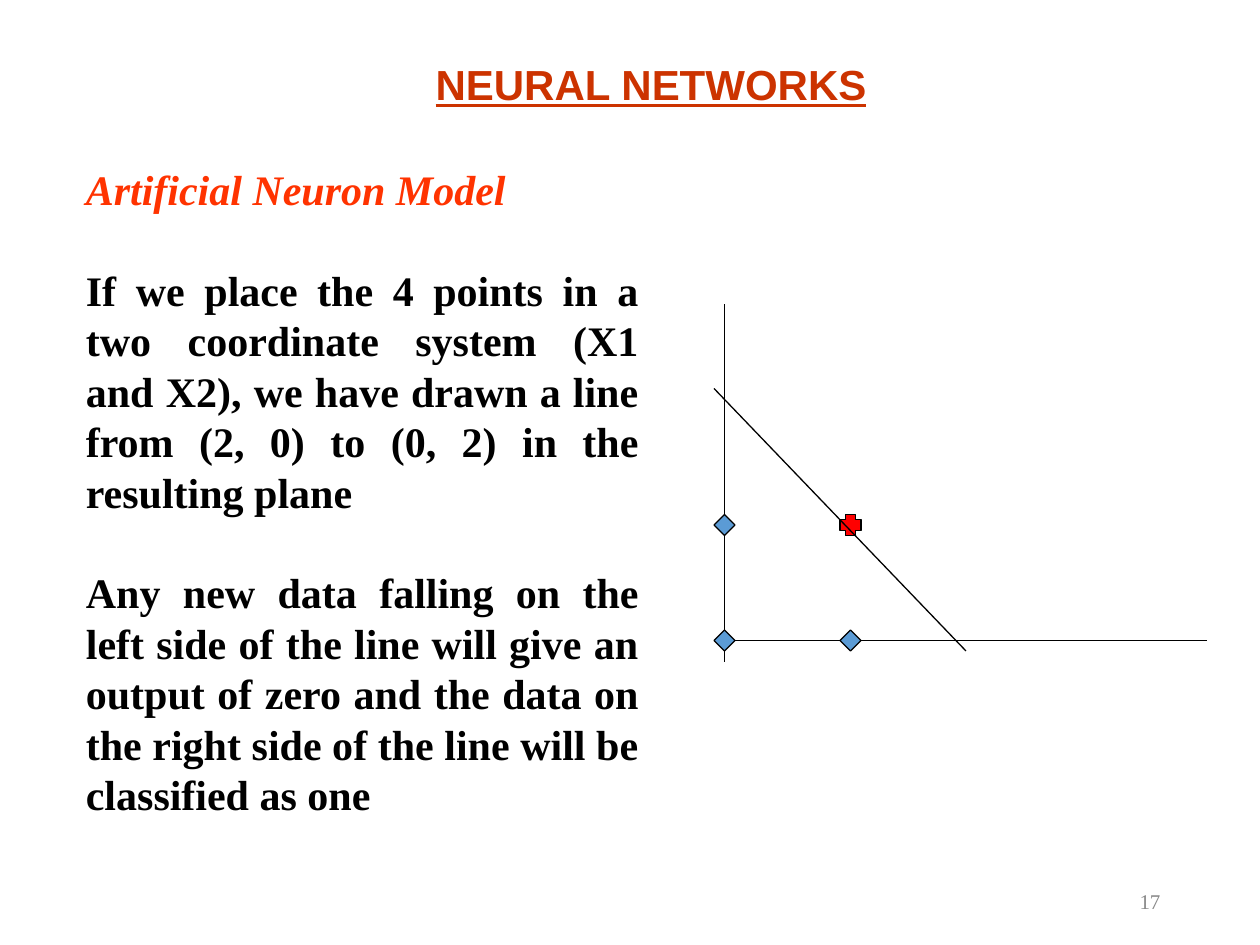
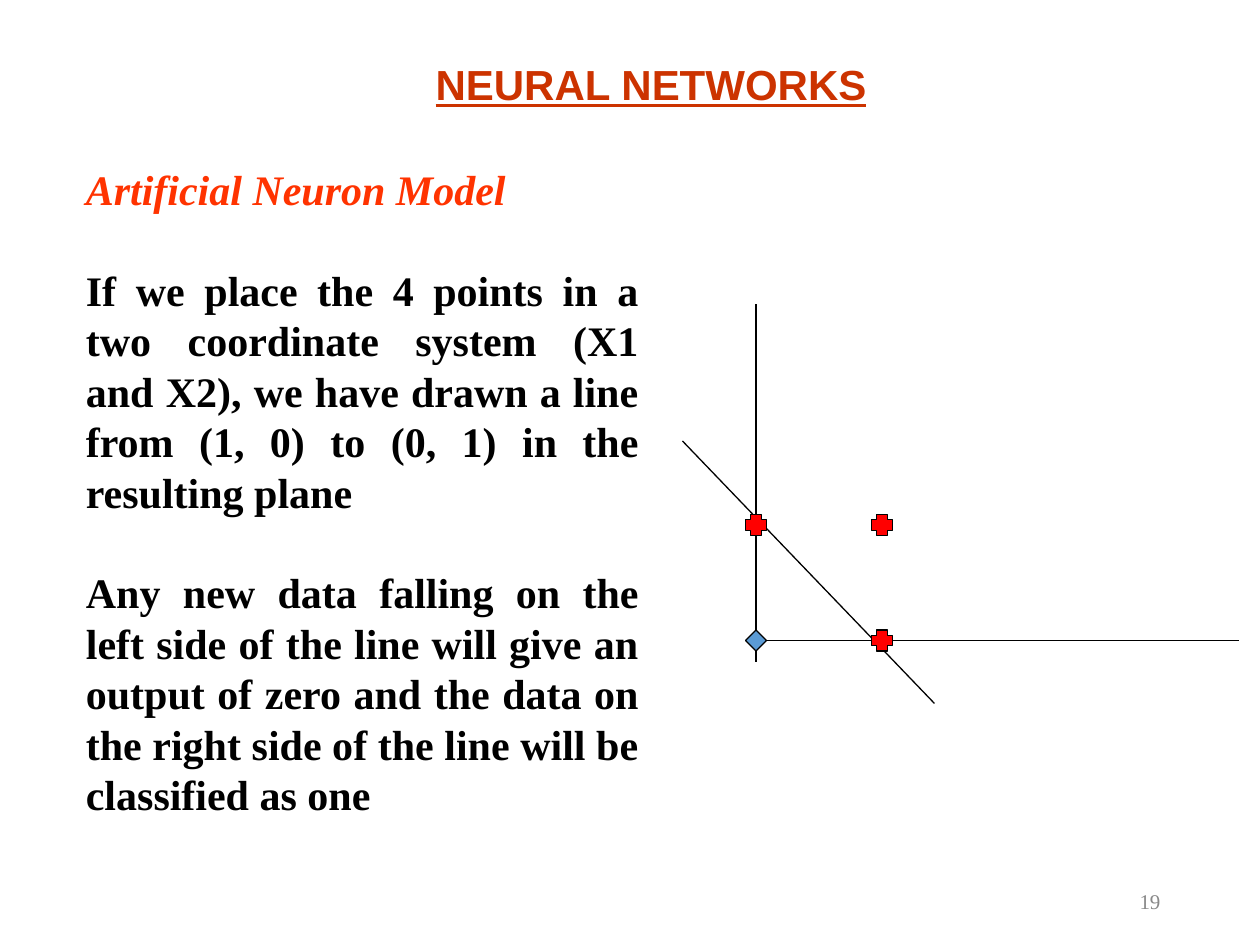
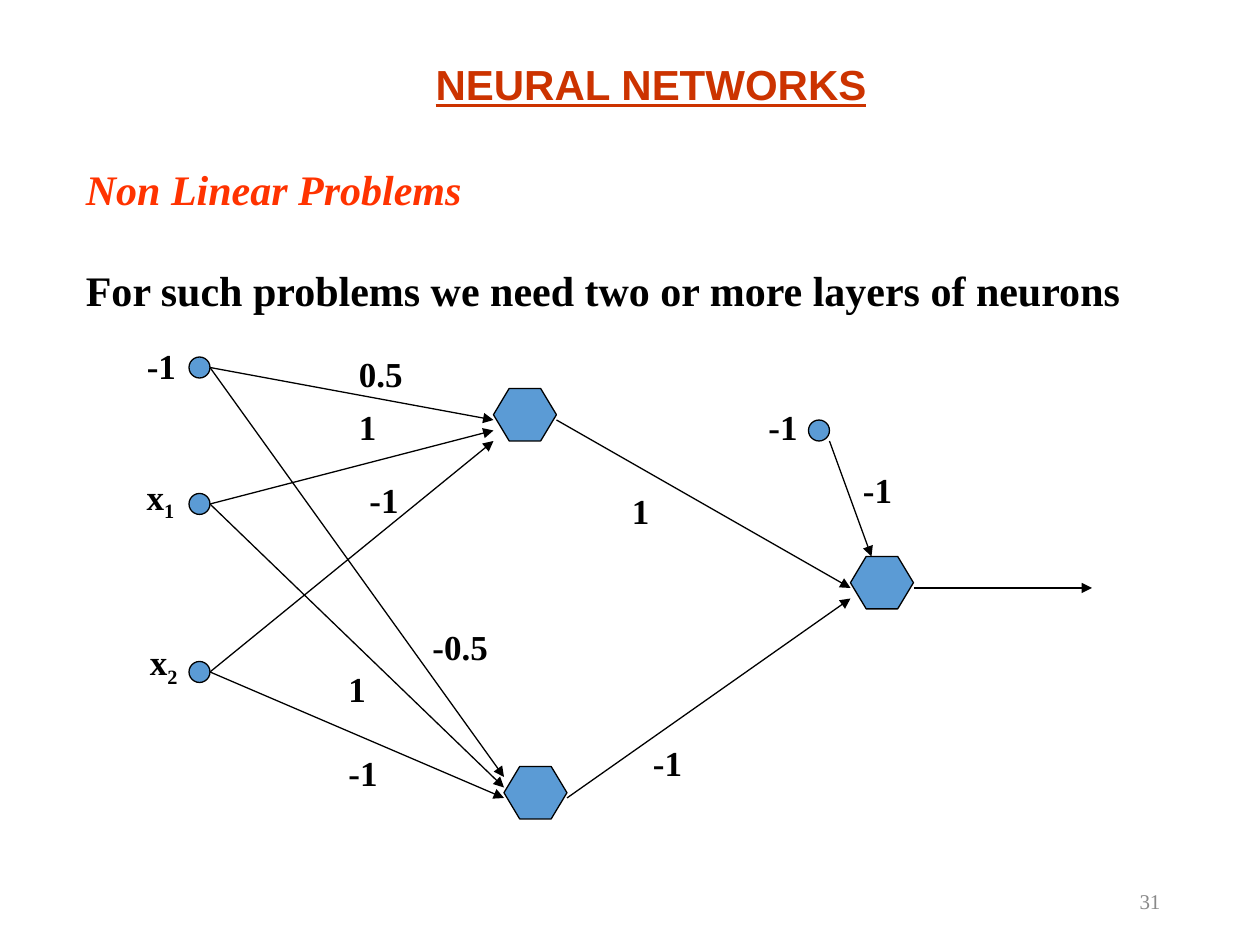
import pptx
import pptx.util
import pptx.dml.color
import pptx.enum.shapes
import pptx.enum.text
import pptx.oxml
import pptx.oxml.ns

PX = 7620
SERIF = "Times New Roman"
RUST = pptx.dml.color.RGBColor(0xCC, 0x33, 0x00)
FLAME = pptx.dml.color.RGBColor(0xFF, 0x33, 0x00)
RED = pptx.dml.color.RGBColor(0xFF, 0x00, 0x00)
BLUE = pptx.dml.color.RGBColor(0x5B, 0x9B, 0xD5)
BLACK = pptx.dml.color.RGBColor(0x00, 0x00, 0x00)
GRAY = pptx.dml.color.RGBColor(0x89, 0x89, 0x89)
SHAPE = pptx.enum.shapes.MSO_SHAPE
ALIGN = pptx.enum.text.PP_ALIGN
ANCHOR = pptx.enum.text.MSO_ANCHOR
TOP = 610
ROW = 500
STEP = 120


def write(para, text, size, color, face=SERIF, bold=True):
    run = para.add_run()
    run.text = text
    run.font.name = face
    run.font.size = pptx.util.Pt(size)
    run.font.bold = bold
    run.font.color.rgb = color
    para.line_spacing = pptx.util.Pt(size * 1.2)
    return run


def draw(slide, part):
    kind, *spots = part
    if kind in ("line", "arrow"):
        item = slide.shapes.add_connector(
            pptx.enum.shapes.MSO_CONNECTOR.STRAIGHT, *[n * PX for n in spots])
        if kind == "arrow":
            edge = item.line._get_or_add_ln()
            tail = pptx.oxml.parse_xml(
                f'<a:tailEnd {pptx.oxml.ns.nsdecls("a")} type="triangle"/>')
            edge.append(tail)
        item._element.spPr.append(pptx.oxml.parse_xml(
            f'<a:effectLst {pptx.oxml.ns.nsdecls("a")}/>'))
    else:
        item = slide.shapes.add_shape(kind, *[n * PX for n in spots])
        item.shadow.inherit = False
        item.fill.solid()
        item.fill.fore_color.rgb = RED if kind == SHAPE.CROSS else BLUE
        if kind == SHAPE.HEXAGON:
            item.adjustments[0] = 0.3
    item.line.color.rgb = BLACK
    item.line.width = pptx.util.Pt(0.75)


RULE = ("Any new data falling on the left side of the line will give an output "
        "of zero and the data on the right side of the line will be classified as one")

plots = [
    (17, "(2, 0) to (0, 2)", 690, [
        (SHAPE.DIAMOND, 0, 0), (SHAPE.DIAMOND, 1, 0), (SHAPE.DIAMOND, 0, 1),
        (SHAPE.CROSS, 1, 1), ("line", 920, 620, 680, 370)]),
    (19, "(1, 0) to (0, 1)", 720, [
        (SHAPE.DIAMOND, 0, 0), (SHAPE.CROSS, 1, 1), ("line", 890, 670, 650, 420),
        (SHAPE.CROSS, 0, 1), (SHAPE.CROSS, 1, 0)]),
]

pages = []
for num, ends, left, marks in plots:
    parts = [("line", left - 10, TOP, left + 460, TOP), ("line", left, 290, left, 630)]
    for mark in marks:
        if mark[0] != "line":
            kind, col, row = mark
            y = ROW if row else TOP
            mark = (kind, left + col * STEP - 10, y - 10, 20, 20)
        parts.append(mark)
    texts = ["If we place the 4 points in a two coordinate system (X1 and X2), "
             f"we have drawn a line from {ends} in the resulting plane", RULE]
    pages.append((num, "Artificial Neuron Model", texts, 550, 636, parts, []))

nodes = [(SHAPE.OVAL, x, y, 20, 20)
         for x, y in ((180, 470), (180, 630), (180, 340), (770, 400))]
nodes += [(SHAPE.HEXAGON, x, y, 60, 50)
          for x, y in ((470, 370), (480, 730), (810, 530))]
for x, y in ((470, 400), (480, 740)):
    for i, start in enumerate((350, 480, 640)):
        nodes.append(("arrow", 200, start, x, y + i * 10))
nodes += [("arrow", 790, 420, 830, 530), ("arrow", 530, 400, 810, 560),
          ("arrow", 540, 760, 810, 570), ("arrow", 870, 560, 1040, 560)]

labels = [
    ("-1", 128, 322), ("x1", 128, 452), ("x2", 131, 610), ("-1", 720, 380),
    ("0.5", 330, 330), ("-1", 340, 450), ("1", 330, 380), ("1", 320, 630),
    ("-0.5", 400, 590), ("-1", 610, 700), ("1", 590, 460), ("-1", 810, 440),
    ("-1", 320, 710),
]
WIDTHS = {"-1": 52, "x1": 50, "x2": 50, "0.5": 66, "1": 41, "-0.5": 77}
pages.append((31, "Non Linear Problems",
              ["For such problems we need two or more layers of neurons"],
              1070, 156, nodes, labels))

deck = pptx.Presentation()
deck.slide_width = 1200 * PX
deck.slide_height = 900 * PX

for num, head, texts, wide, high, parts, labels in pages:
    slide = deck.slides.add_slide(deck.slide_layouts[5])

    title = slide.shapes.title
    title.left, title.top, title.width, title.height = [n * PX for n in (150, 50, 940, 60)]
    frame = title.text_frame
    frame.auto_size = pptx.enum.text.MSO_AUTO_SIZE.NONE
    frame.vertical_anchor = ANCHOR.TOP
    frame.paragraphs[0].alignment = ALIGN.CENTER
    write(frame.paragraphs[0], "NEURAL NETWORKS", 24, RUST, "Arial").font.underline = True

    foot = slide.shapes.add_textbox(847 * PX, 834 * PX, 270 * PX, 48 * PX).text_frame
    foot.word_wrap = True
    foot.vertical_anchor = ANCHOR.MIDDLE
    foot.paragraphs[0].alignment = ALIGN.RIGHT
    write(foot.paragraphs[0], str(num), 12, GRAY, bold=False)

    body = slide.shapes.add_textbox(70 * PX, 150 * PX, wide * PX, high * PX).text_frame
    body.word_wrap = True
    para = body.paragraphs[0]
    para.alignment = ALIGN.JUSTIFY
    write(para, head, 24, FLAME).font.italic = True
    for text in texts:
        para = body.add_paragraph()
        para.alignment = ALIGN.JUSTIFY
        para.space_before = pptx.util.Pt(28.8)
        write(para, text, 24, BLACK)

    for part in parts:
        draw(slide, part)

    for text, x, y in labels:
        sub = text.startswith("x")
        box = slide.shapes.add_textbox(
            x * PX, y * PX, WIDTHS[text] * PX, (58 if sub else 53) * PX)
        box.text_frame.word_wrap = False
        para = box.text_frame.paragraphs[0]
        write(para, "x" if sub else text, 20, BLACK)
        if sub:
            run = write(para, text[1], 20, BLACK)
            run._r.get_or_add_rPr().set("baseline", "-25000")

deck.save("out.pptx")
